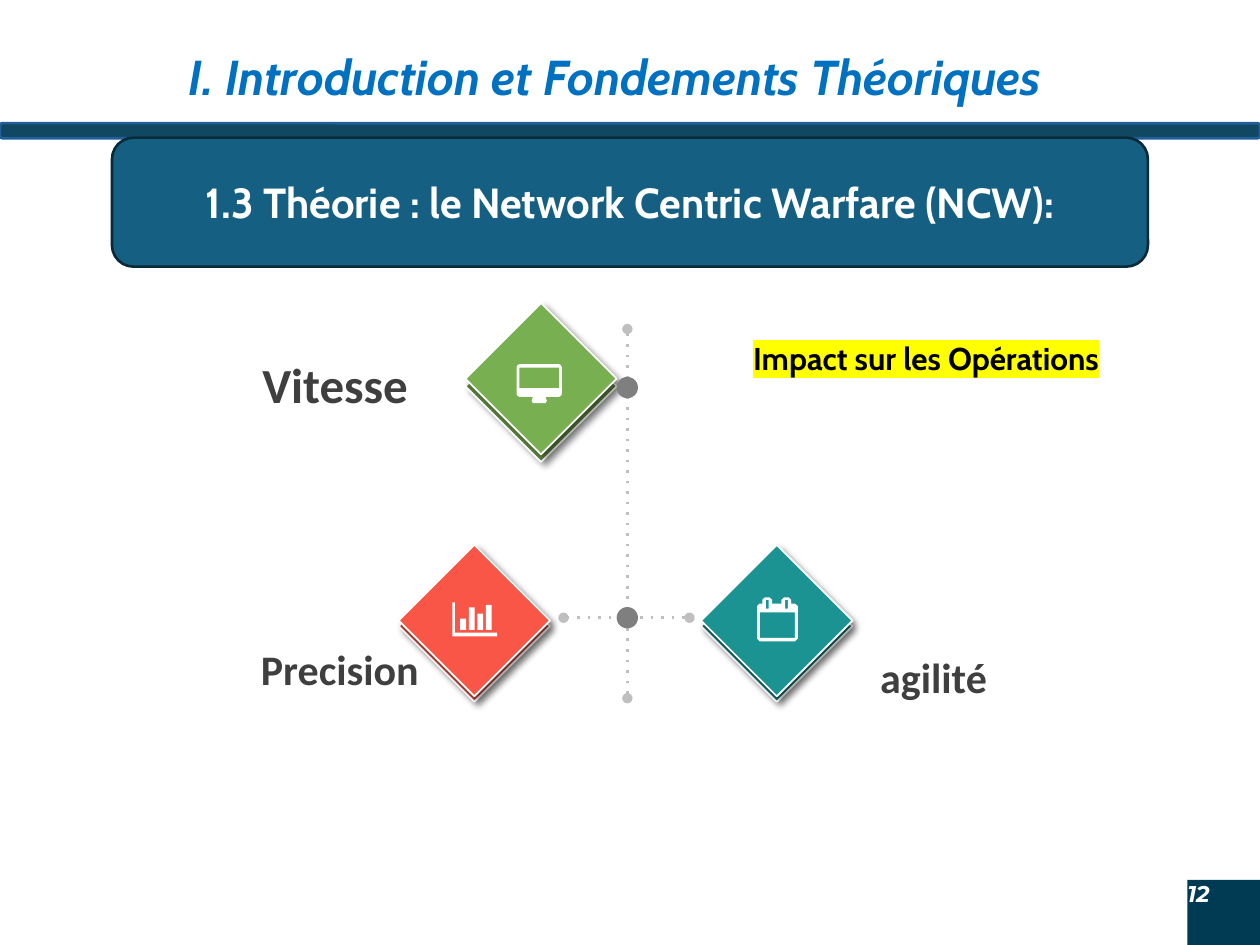
from math import cos, pi, sin

from lxml.etree import SubElement
from pptx import Presentation
from pptx.dml.color import RGBColor
from pptx.enum.shapes import MSO_CONNECTOR, MSO_SHAPE
from pptx.enum.text import MSO_ANCHOR, MSO_AUTO_SIZE, PP_ALIGN
from pptx.oxml.ns import qn
from pptx.util import Pt

WHITE = RGBColor(0xFF, 0xFF, 0xFF)
BLACK = RGBColor(0x00, 0x00, 0x00)
TITLE_BLUE = RGBColor(0x00, 0x70, 0xC0)
BAR_FILL = RGBColor(0x10, 0x48, 0x62)
BAR_LINE = RGBColor(0x21, 0x5F, 0x9A)
BANNER_FILL = RGBColor(0x15, 0x60, 0x82)
BANNER_LINE = RGBColor(0x09, 0x2A, 0x39)
NUMBER_FILL = RGBColor(0x01, 0x3B, 0x53)
LABEL_GRAY = RGBColor(0x3F, 0x3F, 0x3F)
NODE_GRAY = RGBColor(0x7F, 0x7F, 0x7F)
AXIS_GRAY = RGBColor(0xBF, 0xBF, 0xBF)
GREEN, DARK_GREEN = RGBColor(0x78, 0xAF, 0x51), RGBColor(0x5A, 0x83, 0x3D)
RED, DARK_RED = RGBColor(0xF9, 0x56, 0x47), RGBColor(0xBB, 0x41, 0x35)
TEAL, DARK_TEAL = RGBColor(0x1C, 0x93, 0x93), RGBColor(0x15, 0x6E, 0x6E)


def rectangle(left, top, right, bottom, radius=0):
    """Corner points of a rectangle, with rounded corners if a radius is given."""
    if not radius:
        return [(left, top), (right, top), (right, bottom), (left, bottom)]
    centers = [(right - radius, bottom - radius), (left + radius, bottom - radius),
               (left + radius, top + radius), (right - radius, top + radius)]
    return [(x + radius * cos((corner + step / 4) * pi / 2),
             y + radius * sin((corner + step / 4) * pi / 2))
            for corner, (x, y) in enumerate(centers) for step in range(5)]


MONITOR = [
    rectangle(0, 0, 25.9, 18.7, 2),
    rectangle(1.6, 2, 24.3, 13.7),
    [(9.4, 18.7), (16.6, 18.7), (17.3, 21), (16.6, 22.3), (9.4, 22.3), (8.6, 21)],
]
BAR_CHART = [
    [(0, 0), (1.4, 0), (1.4, 17.3), (25.6, 17.3), (25.6, 19.4), (0, 19.4)],
    *[rectangle(4.5 + 4.9 * index, top, 7.8 + 4.9 * index, 15.8)
      for index, top in enumerate((9.4, 2.9, 6.5, 1.4))],
]
CALENDAR = [
    [(0, 5), (1.4, 3.6), (2.9, 3.6), (2.9, 1.5), (4.5, 0), (7, 0), (8.6, 1.5), (8.6, 3.6),
     (13.9, 3.6), (13.9, 1.5), (15.5, 0), (18, 0), (19.4, 1.5), (19.4, 3.6),
     (21.6, 3.6), (23.2, 5), (23.2, 23.7), (21.6, 25.2), (1.4, 25.2), (0, 23.7)],
    rectangle(1.6, 8.6, 21.6, 23.2),
    rectangle(5, 1.5, 6.5, 6.5),
    rectangle(16, 1.5, 17.5, 6.5),
]

TILE_SIZE = 61.2
# left, top, depth of the lower tile, colour, lower colour, icon, icon left, icon top
TILES = [
    (278.6, 185.8, 4.3, GREEN, DARK_GREEN, MONITOR, 295.2, 208.1),
    (240.5, 324, 3.2, RED, DARK_RED, BAR_CHART, 258.5, 344.2),
    (413.3, 324, 3.2, TEAL, DARK_TEAL, CALENDAR, 432.7, 341.3),
]
AXIS_X, JUNCTION_Y = 358.5, 353
AXES = [((394, JUNCTION_Y), (322, JUNCTION_Y)), ((AXIS_X, 399), (AXIS_X, 188))]
NODE_SIZE = 12.2
NODE_HEIGHTS = (221.5, JUNCTION_Y)

TITLE = ("I. Introduction et Fondements Théoriques ", (59, 23.8, 591, 41), 28, "Cabin", TITLE_BLUE)
LABELS = [
    ("Vitesse", (141.1, 199.4, 100.8, 39.6), 28, "Calibri", LABEL_GRAY),
    ("Precision ", (135.4, 365, 123, 34.6), 24, "Calibri", LABEL_GRAY),
    ("Impact sur les Opérations", (424.8, 180, 208.8, 70.6), 18, "Cabin", BLACK),
    ("agilité", (483.1, 369.4, 100.8, 34.6), 24, "Calibri", LABEL_GRAY),
]


def add_box(slide, kind, box, fill, line=None, line_width=1.5):
    shape = slide.shapes.add_shape(kind, *map(Pt, box))
    shape.shadow.inherit = False
    shape.fill.solid()
    shape.fill.fore_color.rgb = fill
    if line is None:
        shape.line.fill.background()
    else:
        shape.line.color.rgb = line
        shape.line.width = Pt(line_width)
    return shape


def write(shape, text, size, font_name, color, align=PP_ALIGN.CENTER, italic=False):
    paragraph = shape.text_frame.paragraphs[0]
    paragraph.alignment = align
    run = paragraph.add_run()
    run.text = text
    font = run.font
    font.size, font.name, font.bold, font.italic = Pt(size), font_name, True, italic
    font.color.rgb = color
    return paragraph


def add_label(slide, text, box, size, font_name, color, italic=False):
    text_box = slide.shapes.add_textbox(*map(Pt, box))
    frame = text_box.text_frame
    frame.word_wrap = True
    frame.auto_size = MSO_AUTO_SIZE.SHAPE_TO_FIT_TEXT
    frame.margin_left = frame.margin_right = Pt(5)
    frame.margin_top = frame.margin_bottom = Pt(2.9)
    return write(text_box, text, size, font_name, color, italic=italic)


def highlight(run, color):
    element = run.font._element.makeelement(qn("a:highlight"), {})
    SubElement(element, qn("a:srgbClr"), val=color)
    run.font._element.find(qn("a:solidFill")).addnext(element)


def add_tile(slide, left, top, fill):
    tile = add_box(slide, MSO_SHAPE.RECTANGLE, (left, top, TILE_SIZE, TILE_SIZE), fill, WHITE, 1)
    tile.rotation = 315
    effects = tile._element.spPr.find(qn("a:effectLst"))
    shadow = SubElement(effects, qn("a:outerShdw"), blurRad=str(Pt(4)), dist=str(Pt(3)),
                        dir="2700000", algn="tl", rotWithShape="0")
    shadow_color = SubElement(shadow, qn("a:srgbClr"), val="000000")
    SubElement(shadow_color, qn("a:alpha"), val="40000")


def add_icon(slide, contours, left, top):
    scaled = [[(x * 100, y * 100) for x, y in contour] for contour in contours]
    builder = slide.shapes.build_freeform(*scaled[0][0], scale=Pt(1) / 100)
    builder.add_line_segments(scaled[0][1:], close=True)
    for contour in scaled[1:]:
        builder.move_to(*contour[0])
        builder.add_line_segments(contour[1:], close=True)
    icon = builder.convert_to_shape(Pt(left), Pt(top))
    icon.shadow.inherit = False
    icon.fill.solid()
    icon.fill.fore_color.rgb = WHITE
    icon.line.fill.background()


def add_dotted_axis(slide, start, end):
    axis = slide.shapes.add_connector(MSO_CONNECTOR.STRAIGHT, *map(Pt, start + end))
    axis.line.color.rgb = AXIS_GRAY
    axis.line.width = Pt(1.5)
    line = axis.line._get_or_add_ln()
    SubElement(line, qn("a:prstDash"), val="dot")
    for tag in ("a:headEnd", "a:tailEnd"):
        SubElement(line, qn(tag), type="oval")
    SubElement(axis._element.spPr, qn("a:effectLst"))


def main():
    presentation = Presentation()
    presentation.slide_width, presentation.slide_height = Pt(720), Pt(540)
    slide = presentation.slides.add_slide(presentation.slide_layouts[6])

    add_box(slide, MSO_SHAPE.ROUNDED_RECTANGLE, (0, 70.4, 720, 8.6), BAR_FILL, BAR_LINE)
    add_label(slide, *TITLE, italic=True)

    number = add_box(slide, MSO_SHAPE.RECTANGLE, (678.5, 502.8, 41.5, 37.2), NUMBER_FILL)
    frame = number.text_frame
    frame.margin_left = frame.margin_right = frame.margin_top = frame.margin_bottom = 0
    frame.word_wrap = False
    frame.vertical_anchor = MSO_ANCHOR.TOP
    write(number, "12", 13, "Montserrat", WHITE, PP_ALIGN.LEFT, italic=True)

    banner = add_box(slide, MSO_SHAPE.ROUNDED_RECTANGLE, (64, 78.7, 592, 73.7),
                     BANNER_FILL, BANNER_LINE)
    banner.text_frame.vertical_anchor = MSO_ANCHOR.MIDDLE
    write(banner, "1.3 Théorie : le Network Centric Warfare (NCW):", 24, "Cabin", WHITE)

    horizontal_axis, vertical_axis = AXES
    add_dotted_axis(slide, *horizontal_axis)
    for left, top, depth, color, lower_color, icon, icon_left, icon_top in TILES:
        add_tile(slide, left, top + depth, lower_color)
        add_tile(slide, left, top, color)
        add_icon(slide, icon, icon_left, icon_top)
    add_dotted_axis(slide, *vertical_axis)
    for height in NODE_HEIGHTS:
        add_box(slide, MSO_SHAPE.OVAL, (AXIS_X - NODE_SIZE / 2, height - NODE_SIZE / 2,
                                        NODE_SIZE, NODE_SIZE), NODE_GRAY)

    for label in LABELS:
        paragraph = add_label(slide, *label)
        if label[0].startswith("Impact"):
            paragraph.line_spacing = 1.5
            highlight(paragraph.runs[0], "FFFF00")

    presentation.save("out.pptx")


if __name__ == "__main__":
    main()
